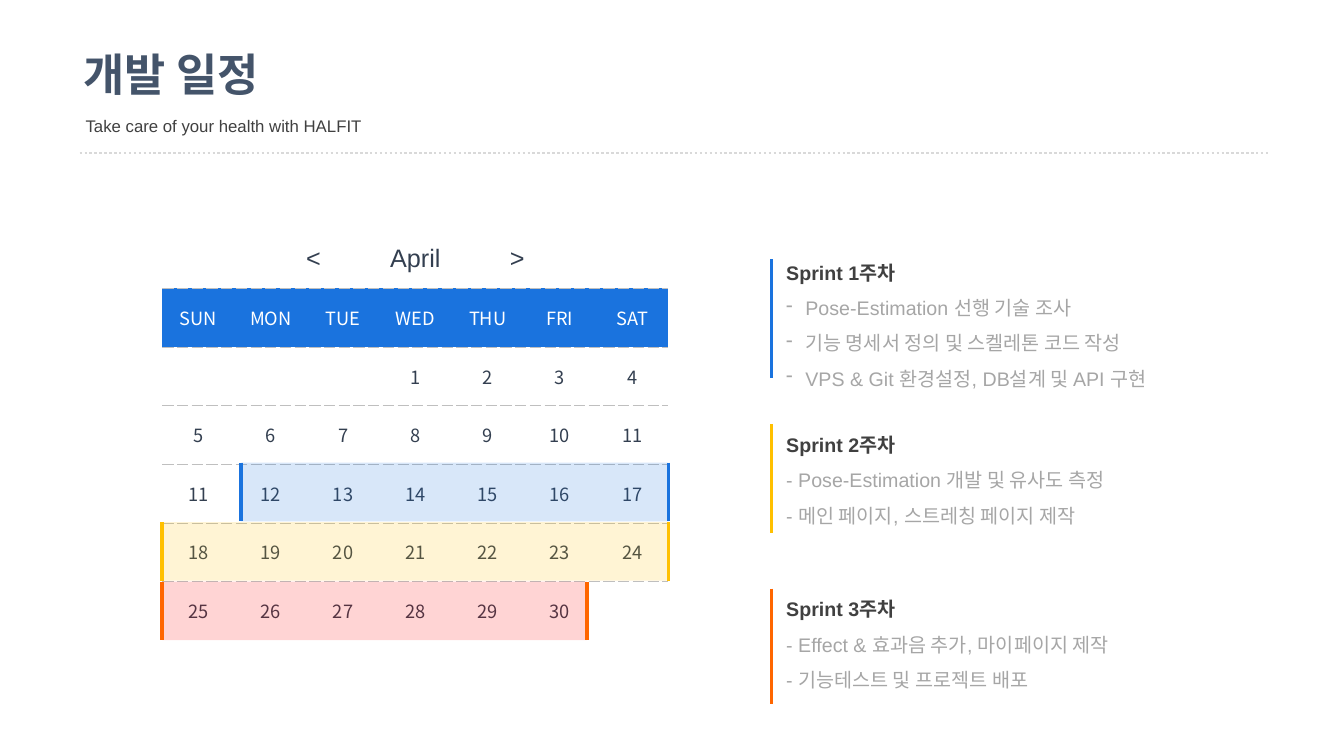
import pptx
import pptx.dml.color
import pptx.enum.dml
import pptx.enum.shapes
import pptx.enum.text
import pptx.oxml
import pptx.oxml.ns
import pptx.util
from lxml import etree

Inches, Pt = pptx.util.Inches, pptx.util.Pt
ALIGN = pptx.enum.text.PP_ALIGN
ANCHOR = pptx.enum.text.MSO_ANCHOR

# Content
TITLE = "개발 일정"
SUBTITLE = "Take care of your health with HALFIT"
MONTH = "\t<\tApril\t>"
WEEKDAYS = ["SUN", "MON", "TUE", "WED", "THU", "FRI", "SAT"]
WEEKS = [
    ["", "", "", 1, 2, 3, 4],
    [5, 6, 7, 8, 9, 10, 11],
    [11, 12, 13, 14, 15, 16, 17],
    [18, 19, 20, 21, 22, 23, 24],
    [25, 26, 27, 28, 29, 30, ""],
]
# Calendar highlights: left, top, width, fill, edge
HIGHLIGHTS = [
    (1.61, 5.77, 4.21, "FF0000", "FF6600"),
    (2.39, 4.59, 4.24, "1A73DE", "1A73DE"),
    (1.61, 5.18, 5.02, "FFC000", "FFC000"),
]
# Sprints: colour, bar top, bar bottom, text top, bulleted, heading, tasks
SPRINTS = [
    ("1A73DE", 2.57, 3.75, 2.42, True, "Sprint 1주차",
     ["Pose-Estimation 선행 기술 조사",
      "기능 명세서 정의 및 스켈레톤 코드 작성",
      "VPS & Git 환경설정, DB설계 및 API 구현"]),
    ("FFC000", 4.21, 5.29, 4.13, False, "Sprint 2주차",
     ["- Pose-Estimation 개발 및 유사도 측정",
      "- 메인 페이지, 스트레칭 페이지 제작"]),
    ("FF6600", 5.84, 6.98, 5.76, False, "Sprint 3주차",
     ["- Effect & 효과음 추가, 마이페이지 제작",
      "- 기능테스트 및 프로젝트 배포"]),
]

CALENDAR_LEFT, CALENDAR_TOP, CALENDAR_WIDTH, CALENDAR_HEIGHT = 1.61, 2.28, 5.02, 4.07
ROW_HEIGHT = CALENDAR_HEIGHT / (len(WEEKS) + 2)
MONTH_TABS = [1.43, 2.44, 3.45]
NAVY, GREY, WHITE, BLUE = "333F50", "404040", "FFFFFF", "1A73DE"


def rgb(value):
    return pptx.dml.color.RGBColor.from_string(value)


def style(para, size, colour, bold=False, name="Arial"):
    font = para.font
    font.size, font.bold, font.name = Pt(size), bold, name
    font.color.rgb = rgb(colour)


def add_line(left, top, right, bottom, colour, width):
    line = page.shapes.add_connector(
        pptx.enum.shapes.MSO_CONNECTOR.STRAIGHT,
        Inches(left), Inches(top), Inches(right), Inches(bottom))
    line.line.color.rgb = rgb(colour)
    line.line.width = Pt(width)
    etree.SubElement(line._element.spPr, pptx.oxml.ns.qn("a:effectLst"))
    return line


def add_table(rows, columns, left, top, width, height):
    table = page.shapes.add_table(
        rows, columns, Inches(left), Inches(top), Inches(width), Inches(height)).table
    table.first_row = table.horz_banding = False
    return table


def paint_cell(cell, fill, borders, alpha=None):
    """Fill a cell; borders maps L, R, T, B to (colour, width, dash)."""
    cell.fill.solid()
    cell.fill.fore_color.rgb = rgb(fill)
    properties = cell._tc.get_or_add_tcPr()
    if alpha:
        shade = properties.find(".//" + pptx.oxml.ns.qn("a:srgbClr"))
        etree.SubElement(shade, pptx.oxml.ns.qn("a:alpha"), val=str(alpha * 1000))
    for place, side in enumerate("LRTB"):
        colour, width, dash = borders.get(side, (None, 0, None))
        inside = "<a:noFill/>"
        if colour:
            inside = (f'<a:solidFill><a:srgbClr val="{colour}"/></a:solidFill>'
                      f'<a:prstDash val="{dash}"/>')
        properties.insert(place, pptx.oxml.parse_xml(
            f'<a:ln{side} {pptx.oxml.ns.nsdecls("a")} w="{Pt(width)}">{inside}</a:ln{side}>'))


deck = pptx.Presentation()
deck.slide_width, deck.slide_height = Inches(13.33), Inches(7.5)
page = deck.slides.add_slide(deck.slide_layouts[5])

# Title, subtitle and rule
title = page.shapes.title
title.left, title.top, title.width, title.height = map(Inches, (0.73, 0.41, 2.15, 0.64))
subtitle = page.shapes.add_textbox(*map(Inches, (0.72, 1, 3, 0.4)))
for box, text, align in [(title, TITLE, ALIGN.LEFT), (subtitle, SUBTITLE, ALIGN.CENTER)]:
    frame = box.text_frame
    frame.text = text
    frame.word_wrap = False
    frame.auto_size = pptx.enum.text.MSO_AUTO_SIZE.SHAPE_TO_FIT_TEXT
    frame.vertical_anchor = ANCHOR.TOP
    frame.paragraphs[0].alignment = align
style(title.text_frame.paragraphs[0], 32, "44546A", bold=True)
subtitle.text_frame.paragraphs[0].line_spacing = 1.5
style(subtitle.text_frame.paragraphs[0], 12, GREY)
rule = add_line(0.79, 1.52, 12.6, 1.52, "D9D9D9", 1.75)
rule.line.dash_style = pptx.enum.dml.MSO_LINE.ROUND_DOT

# Calendar
calendar_rows = [[MONTH] + [""] * 6, WEEKDAYS] + WEEKS
calendar = add_table(len(calendar_rows), len(WEEKDAYS), CALENDAR_LEFT, CALENDAR_TOP,
                     CALENDAR_WIDTH, CALENDAR_HEIGHT)
calendar.cell(0, 0).merge(calendar.cell(0, 6))
dashes = ("BFBFBF", 0.25, "sysDash")
for row, values in enumerate(calendar_rows):
    borders = {}
    if row > 0:
        borders["T"] = dashes
    if row < len(calendar_rows) - 1:
        borders["B"] = dashes
    for column, value in enumerate(values):
        cell = calendar.cell(row, column)
        paint_cell(cell, BLUE if row == 1 else WHITE, borders)
        cell.vertical_anchor = ANCHOR.MIDDLE
        cell.margin_left = cell.margin_right = Inches(0.07)
        cell.margin_top = cell.margin_bottom = Inches(0.04)
        cell.text = str(value)
        para = cell.text_frame.paragraphs[0]
        if value == MONTH:
            para.alignment = ALIGN.LEFT
            tabs = etree.SubElement(para._p.get_or_add_pPr(), pptx.oxml.ns.qn("a:tabLst"))
            for stop in MONTH_TABS:
                etree.SubElement(tabs, pptx.oxml.ns.qn("a:tab"),
                                 pos=str(Inches(stop)), algn="ctr")
            style(para, 18, NAVY)
        else:
            para.alignment = ALIGN.CENTER
            style(para, 13, WHITE if row == 1 else NAVY, name="Noto Sans CJK KR")

# Sprint highlights over the calendar
for left, top, width, fill, edge in HIGHLIGHTS:
    band = add_table(1, 1, left, top, width, ROW_HEIGHT)
    side = (edge, 3, "solid")
    paint_cell(band.cell(0, 0), fill, {"L": side, "R": side}, alpha=17)

# Sprint descriptions
for colour, bar_top, bar_bottom, text_top, bulleted, heading, tasks in SPRINTS:
    add_line(7.65, bar_top, 7.65, bar_bottom, colour, 2.25)
    box = page.shapes.add_textbox(*map(Inches, (7.7, text_top, 4.67, 0.94)))
    frame = box.text_frame
    frame.word_wrap = True
    frame.text = "\n".join([heading] + tasks)
    for order, para in enumerate(frame.paragraphs):
        para.line_spacing = 1.5
        if bulleted and order:
            properties = para._p.get_or_add_pPr()
            properties.set("marL", str(Inches(0.19)))
            properties.set("indent", str(-Inches(0.19)))
            etree.SubElement(properties, pptx.oxml.ns.qn("a:buChar"), char="-")
        style(para, 14, "A6A6A6" if order else GREY, bold=not order)

deck.save("out.pptx")
